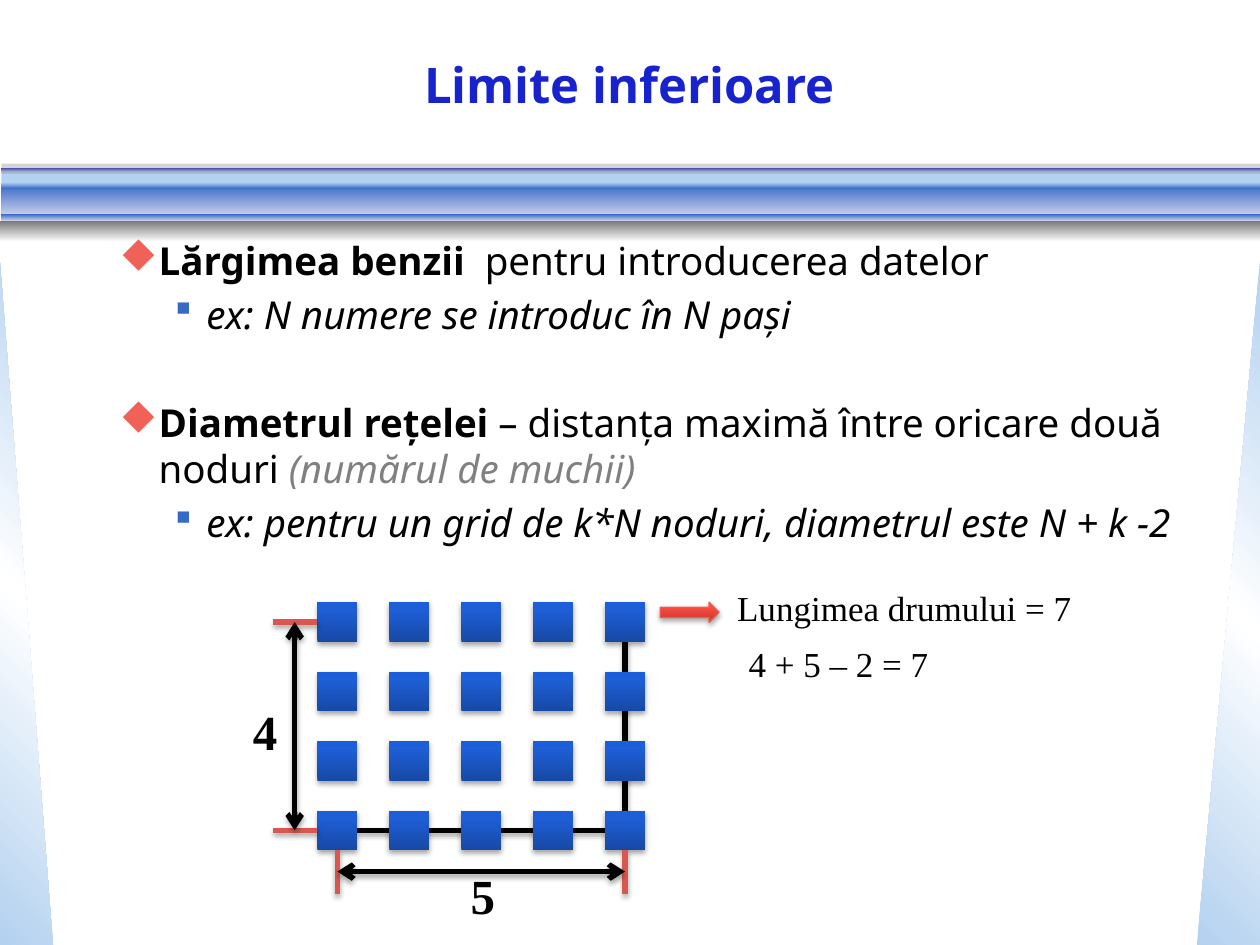
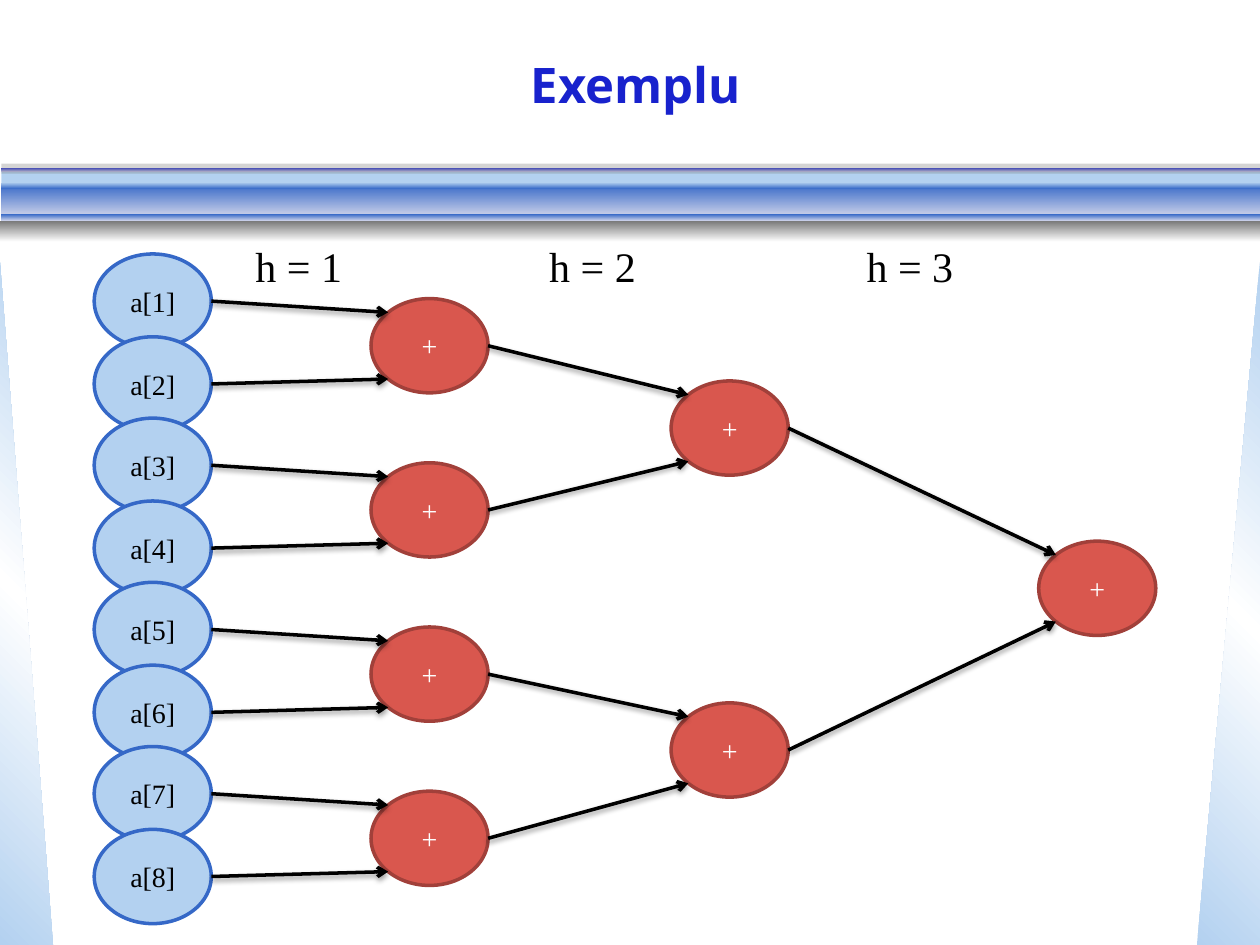
from lxml import etree
from pptx import Presentation
from pptx import util as u
from pptx.dml.color import RGBColor
from pptx.enum import lang, shapes, text
from pptx.oxml.ns import qn

Cm, Pt = u.Cm, u.Pt
KIND = shapes.MSO_SHAPE
SANS, SERIF = "Noto Sans", "Times New Roman"
HUE = {
    "ink": "000000", "white": "FFFFFF", "grey": "808080", "shade": "777777",
    "title": "1822CD", "pale": "B3D1F0", "blue": "3568C7", "mist": "CAD0E9",
    "lilac": "BABBE7", "coral": "F06157", "red": "D9574E", "wine": "A1403A",
    "edge": "EE5C51", "deep": "1749A5", "mid": "1E5ED6", "top": "1B5EDB",
    "rust": "C43930", "fire": "FF4B3E", "flame": "FF4C3F",
}
SIDE = [(0, "pale"), (50, "white"), (100, "pale")]
NODE = [(0, "deep"), (80, "mid"), (100, "top")]
HOT = [(0, "rust"), (80, "fire"), (100, "flame")]
# Band strips from back to front: left, top, height, colours from top to bottom
BANDS = [
    (0.03, 3.45, 0.25, "pale", "pale"),
    (0.03, 3.71, 0.64, "blue", "mist"),
    (0.03, 3.38, 0.08, "title", "lilac"),
    (0.03, 4.32, 0.13, "blue", "mist"),
    (0.03, 3.68, 0.13, "pale", "blue"),
    (0, 4.45, 0.43, "shade", "white"),
]
WIDE, HIGH = 25.4, 19.05


def rgb(name):
    return RGBColor.from_string(HUE[name])


def sub(root, tag, **attrs):
    """Append a DrawingML child and return it."""
    node = etree.SubElement(root, qn("a:" + tag))
    for key, val in attrs.items():
        node.set(key, str(val))
    return node


def tint(root, name, alpha=100):
    clr = sub(root, "srgbClr", val=HUE[name])
    if alpha < 100:
        sub(clr, "alpha", val=alpha * 1000)


def blend(shape, stops, angle):
    """Fill a shape with a linear gradient; the angle runs clockwise."""
    shape.fill.background()
    props = shape._element.spPr
    none = props.find(qn("a:noFill"))
    grad = etree.Element(qn("a:gradFill"), rotWithShape="1")
    row = sub(grad, "gsLst")
    for pos, name in stops:
        tint(sub(row, "gs", pos=pos * 1000), name)
    sub(grad, "lin", ang=angle * 60000, scaled=0)
    props.replace(none, grad)


def shade(effects, alpha=35, dist=1.8):
    """Add a soft downward shadow to an effect list."""
    drop = sub(effects, "outerShdw", blurRad=Pt(3.1), dist=Pt(dist),
               dir=5400000, rotWithShape=0)
    tint(drop, "ink", alpha)


def form(slide, kind, x, y, w, h, fill, angle=90, line=None, thick=1, soft=False):
    """Add a preset shape; fill is a colour name or a list of gradient stops."""
    shape = slide.shapes.add_shape(kind, Cm(x), Cm(y), Cm(w), Cm(h))
    shape.shadow.inherit = False
    if isinstance(fill, str):
        shape.fill.solid()
        shape.fill.fore_color.rgb = rgb(fill)
    else:
        blend(shape, fill, angle)
    if line:
        shape.line.color.rgb = rgb(line)
        shape.line.width = Pt(thick)
    else:
        shape.line.fill.background()
    if soft:
        shade(shape._element.spPr.find(qn("a:effectLst")))
    return shape


def link(slide, start, end, color="ink", thick=3, ends=(), **drop):
    """Add a straight line; ends names the arrowheads (headEnd, tailEnd)."""
    points = [Cm(val) for val in (*start, *end)]
    line = slide.shapes.add_connector(shapes.MSO_CONNECTOR.STRAIGHT, *points)
    line.line.color.rgb = rgb(color)
    line.line.width = Pt(thick)
    props = line._element.spPr
    for tag in ends:
        sub(props.find(qn("a:ln")), tag, type="arrow")
    shade(sub(props, "effectLst"), **drop)
    return line


def write(para, words, size=20, font=SERIF, color="ink", bold=False,
          slant=False, align=None):
    run = para.add_run()
    run.text = words
    face = run.font
    face.size, face.name = Pt(size), font
    face.bold, face.italic = bold, slant
    face.color.rgb = rgb(color)
    face.language_id = lang.MSO_LANGUAGE_ID.ROMANIAN
    if align:
        para.alignment = align


def box(slide, x, y, w, h, wrap=True):
    frame = slide.shapes.add_textbox(Cm(x), Cm(y), Cm(w), Cm(h)).text_frame
    frame.word_wrap = wrap
    return frame


def label(slide, words, x, y, w, h, **style):
    write(box(slide, x, y, w, h, False).paragraphs[0], words, **style)


def mark(para, sign, color, left, hang, before):
    """Give a paragraph its Wingdings bullet, indent and spacing."""
    para.space_before = Pt(before)
    props = para._p.get_or_add_pPr()
    props.set("marL", str(Cm(left)))
    props.set("indent", str(-Cm(hang)))
    tint(sub(props, "buClr"), color)
    sub(props, "buFont", typeface="Wingdings", pitchFamily=2, charset=2)
    sub(props, "buChar", char=sign)


def base(deck, title):
    """Add a slide with the side wedges, the band and the title."""
    slide = deck.slides.add_slide(deck.slide_layouts[6])
    form(slide, KIND.RIGHT_TRIANGLE, 0, 5.28, 1.07, 13.77, SIDE, 315)
    right = form(slide, KIND.RIGHT_TRIANGLE, 24.13, 5.28, 1.27, 13.77, SIDE, 45)
    right._element.spPr.find(qn("a:xfrm")).set("flipH", "1")
    for x, y, h, high, low in BANDS:
        fill = high if high == low else [(0, high), (100, low)]
        form(slide, KIND.RECTANGLE, x, y, WIDE - x, h, fill)
    veil = form(slide, KIND.RECTANGLE, 0.03, 3.3, WIDE - 0.03, 0.2, "shade")
    clr = veil._element.spPr.find(qn("a:solidFill")).find(qn("a:srgbClr"))
    sub(clr, "alpha", val=31000)
    frame = box(slide, 0.43, 0.2, 24.77, 2.97)
    frame.vertical_anchor = text.MSO_ANCHOR.MIDDLE
    write(frame.paragraphs[0], title, size=28, font=SANS, color="title",
          bold=True, align=text.PP_ALIGN.CENTER)
    return slide


def points(slide):
    """Write the two bulleted limits with their examples."""
    items = [
        (1, 4.4, [("Lărgimea benzii", {"bold": True}),
                  ("  pentru introducerea datelor", {})]),
        (2, 4.4, [("ex: N numere se introduc în N pași", {"slant": True})]),
        (1, 35.4, [("Diametrul reţelei", {"bold": True}),
                   (" – distanța maximă între oricare două noduri ", {}),
                   ("(numărul de muchii)", {"color": "grey", "slant": True})]),
        (2, 4.4, [("ex: pentru un grid de k*N noduri, diametrul este N + k -2",
                   {"slant": True})]),
    ]
    looks = {1: ("u", "coral", 2.06, 0.79), 2: ("§", "blue", 3.02, 0.64)}
    frame = box(slide, 0.89, 4.65, 23.5, 7)
    for num, (level, before, runs) in enumerate(items):
        para = frame.add_paragraph() if num else frame.paragraphs[0]
        mark(para, *looks[level], before)
        for words, style in runs:
            write(para, words, size=22, font=SANS, **style)


def mesh(slide):
    """Draw the 4 by 5 grid, its longest path and its dimensions."""
    left, top, size, dx, dy = 6.4, 12.14, 0.8, 1.45, 1.4
    rows, cols = 4, 5
    x1, y1 = left + size / 2, top + size / 2
    x2, y2 = x1 + (cols - 1) * dx, y1 + (rows - 1) * dy
    foot = y2 + size / 2
    base_path = link(slide, (x1, y2), (x2, y2))
    side_path = link(slide, (x2, y2), (x2, y1))
    cells = [[form(slide, KIND.RECTANGLE, left + col * dx, top + row * dy,
                   size, size, NODE, 270, soft=True)
              for col in range(cols)] for row in range(rows)]
    first, corner, last = cells[-1][0], cells[-1][-1], cells[0][-1]
    base_path.begin_connect(first, 3)
    base_path.end_connect(corner, 1)
    side_path.begin_connect(corner, 0)
    side_path.end_connect(last, 2)
    ticks = [
        (cells[0][0], 1, (left, y1), (5.51, y1)),
        (first, 1, (left, y2), (5.51, y2)),
        (first, 2, (x1, foot), (x1, 18.02)),
        (corner, 2, (x2, foot), (x2, 18.02)),
    ]
    for cell, site, start, end in ticks:
        link(slide, start, end, "red").begin_connect(cell, site)
    both = ("headEnd", "tailEnd")
    link(slide, (5.94, y1), (5.94, y2), ends=both)
    link(slide, (x2, 17.57), (x1, 17.57), ends=both)
    label(slide, "4", 4.85, 14.02, 1.02, 1.45, size=28, bold=True)
    label(slide, "5", 9.24, 17.32, 1.02, 1.45, size=28, bold=True)


def tree(slide):
    """Draw the pairwise sum of eight values as a binary tree."""
    wide, high, step = 2.36, 1.9, 3.31
    reach = 0.5 ** 0.5 / 2
    levels = [
        (1.9, [5.12 + step * (num // 2) + 1.67 * (num % 2) for num in range(8)]),
        (7.48, [6.02 + step * num for num in range(4)]),
        (13.53, [7.68, 14.17]),
        (20.94, [10.91]),
    ]
    for depth, (x, tops) in enumerate(levels):
        fill, line, ink = ("red", "wine", "white") if depth else ("pale", "blue", "ink")
        for num, y in enumerate(tops):
            node = form(slide, KIND.OVAL, x, y, wide, high, fill, line=line, thick=2)
            frame = node.text_frame
            frame.vertical_anchor = text.MSO_ANCHOR.MIDDLE
            write(frame.paragraphs[0], "+" if depth else f"a[{num + 1}]",
                  size=16, color=ink, align=text.PP_ALIGN.CENTER)
    for (x, tops), (next_x, sums) in zip(levels, levels[1:]):
        for num, y in enumerate(tops):
            turn = 1 if num % 2 else -1
            end = (next_x + wide * (0.5 - reach),
                   sums[num // 2] + high * (0.5 + turn * reach))
            link(slide, (x + wide, y + high / 2), end, thick=2,
                 ends=("tailEnd",), alpha=38, dist=1.6)


def main():
    deck = Presentation()
    deck.slide_width, deck.slide_height = Cm(WIDE), Cm(HIGH)

    limits = base(deck, "Limite inferioare ")
    points(limits)
    mesh(limits)
    form(limits, KIND.RIGHT_ARROW, 13.31, 12.14, 1.19, 0.41, HOT, 270,
         line="edge", thick=0.75, soft=True)
    label(limits, "Lungimea drumului = 7", 14.61, 11.7, 7.29, 1.12)
    label(limits, "4 + 5 – 2 = 7", 14.84, 12.83, 4.17, 1.12)

    sample = base(deck, "Exemplu")
    tree(sample)
    for num, x in enumerate((4.9, 10.82, 17.22), 1):
        label(sample, f"h = {num}", x, 4.72, 2.29, 1.27, size=24)

    deck.save("out.pptx")


if __name__ == "__main__":
    main()
